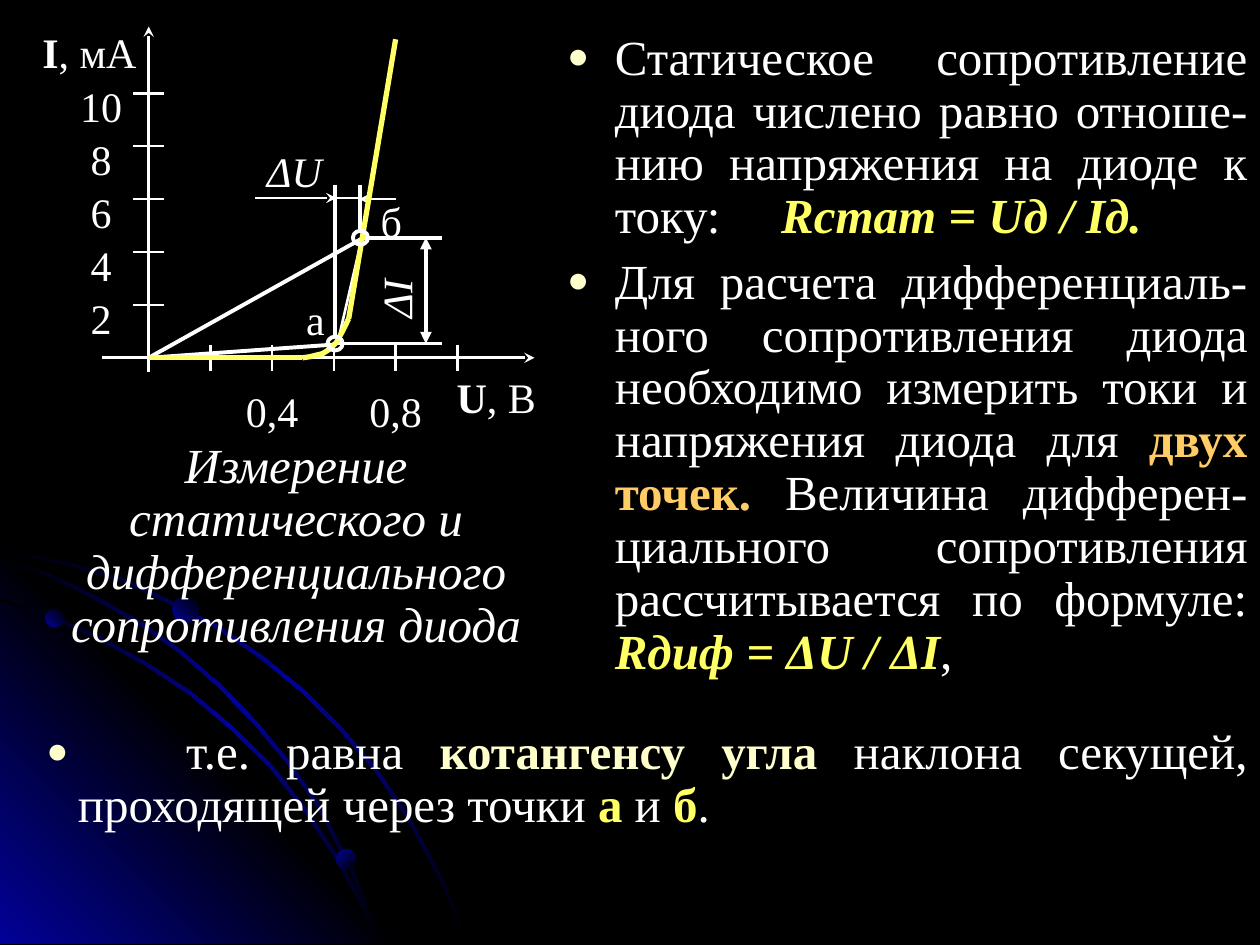
import pptx
import pptx.util
import pptx.dml.color
import pptx.enum.shapes
import pptx.enum.text
import pptx.oxml
import pptx.oxml.ns
from lxml import etree

C = {"bg": "000000", "text": "FFFFFF", "curve": "FFFF66", "cream": "FFFFCC",
     "accent": "FFCC66", "blue": "010199"}
FONT = "Times New Roman"
NS = pptx.oxml.ns.nsdecls("a")
RGB = pptx.dml.color.RGBColor.from_string
Inches, Pt = pptx.util.Inches, pptx.util.Pt
SHAPE = pptx.enum.shapes.MSO_SHAPE
ALIGN = pptx.enum.text.PP_ALIGN

prs = pptx.Presentation()
prs.slide_width, prs.slide_height = Inches(10), Inches(7.5)
W, H = prs.slide_width, prs.slide_height
s = prs.slides.add_slide(prs.slide_layouts[1])
s.background.fill.solid()
s.background.fill.fore_color.rgb = RGB(C["bg"])
title = s.shapes.title
title._element.getparent().remove(title._element)

# Plot grid: a column is 0.2 V, a row is 2 mA
X0, Y0 = Inches(1.18), Inches(2.84)
COL, ROW = Inches(0.49), Inches(0.42)


def line(c1, r1, c2, r2, width=1.5, color="text", head=None, tail=None):
    """Straight line between two points of the plot grid."""
    sp = s.shapes.add_connector(
        pptx.enum.shapes.MSO_CONNECTOR.STRAIGHT, int(X0 + c1 * COL), int(Y0 - r1 * ROW),
        int(X0 + c2 * COL), int(Y0 - r2 * ROW))
    sp.line.width = Pt(width)
    sp.line.color.rgb = RGB(C[color])
    for tag, kind in (("headEnd", head), ("tailEnd", tail)):
        if kind:
            sp.line._get_or_add_ln().append(
                pptx.oxml.parse_xml(f'<a:{tag} {NS} type="{kind}"/>'))
    etree.SubElement(sp._element.spPr, pptx.oxml.ns.qn("a:effectLst"))


def write(p, runs, size, align, spacing=None, hang=None, before=0, tab=None):
    """Fill a paragraph with (text, colour, style) runs; hang makes it a bullet."""
    p.alignment = align
    if spacing:
        p.line_spacing = spacing
    p.space_before = Pt(before)
    if hang:
        pPr = p._p.get_or_add_pPr()
        pPr.set("marL", str(Inches(hang)))
        pPr.set("indent", str(-Inches(hang)))
        bullet = [f'<a:buClr {NS}><a:srgbClr val="{C["cream"]}"/></a:buClr>',
                  f'<a:buSzPct {NS} val="75000"/>', f'<a:buFont {NS} typeface="Arial"/>',
                  f'<a:buChar {NS} char="●"/>']
        if tab:
            bullet.append(f'<a:tabLst {NS}><a:tab pos="{Inches(tab)}" algn="l"/></a:tabLst>')
        for xml in bullet:
            pPr.append(pptx.oxml.parse_xml(xml))
    for text, color, style in runs:
        r = p.add_run()
        r.text = text
        r.font.name, r.font.size = FONT, Pt(size)
        r.font.color.rgb = RGB(C[color])
        r.font.bold, r.font.italic = "b" in style, "i" in style


# Backdrop: blue corner, thin arcs and beads
bands = [
    [(0, 4.35), (0.57, 4.47), (0.98, 4.59), (1.36, 4.77), (1.74, 4.97), (2.09, 5.21),
     (2.42, 5.48), (2.72, 5.78), (3, 6.11), (3.25, 6.48), (3.52, 6.98), (3.72, 7.49)],
    [(0, 4.75), (0.41, 4.88), (0.79, 5.05), (1.17, 5.26), (1.52, 5.49), (1.84, 5.76),
     (2.15, 6.06), (2.42, 6.4), (2.66, 6.76), (2.86, 7.12), (3.03, 7.49)],
    [(0, 4.42), (0.39, 4.55), (0.76, 4.73), (1.11, 4.93), (1.44, 5.16), (1.75, 5.43),
     (2.04, 5.73), (2.29, 6.03), (2.54, 6.39), (2.82, 6.93), (3.03, 7.49)]]
glow = ["bg", "blue", "bg"]
outlines = [(band + [(max(x - 0.02, 0), min(y + 0.02, 7.49)) for x, y in reversed(band)],
             glow, 225) for band in bands]
outlines.insert(1, ([(0, 4.27), (3.22, 7.49), (0, 7.49)], ["blue", "bg", "blue"], 135))
backdrop = []
for points, stops, angle in outlines:
    emu = [(Inches(x), Inches(y)) for x, y in points]
    fb = s.shapes.build_freeform(*emu[0])
    fb.add_line_segments(emu[1:], close=True)
    backdrop.append((fb.convert_to_shape(), stops, angle))
for x, y, d, angle in ((0.36, 4.83, 0.15, 135), (2.67, 6.74, 0.16, 225), (1.37, 4.73, 0.21, 135)):
    sp = s.shapes.add_shape(SHAPE.OVAL, Inches(x), Inches(y), Inches(d), Inches(d))
    backdrop.append((sp, ["bg", "blue"], angle))
for sp, stops, angle in backdrop:
    sp.shadow.inherit = False
    sp.line.fill.background()
    gs = "".join(f'<a:gs pos="{i * 100000 // (len(stops) - 1)}"><a:srgbClr val="{C[k]}"/></a:gs>'
                 for i, k in enumerate(stops))
    sp._element.spPr.find(pptx.oxml.ns.qn("a:ln")).addprevious(pptx.oxml.parse_xml(
        f'<a:gradFill {NS} rotWithShape="1"><a:gsLst>{gs}</a:gsLst>'
        f'<a:lin ang="{angle * 60000}" scaled="1"/></a:gradFill>'))

# Axes and ticks
line(0, -0.26, 0, 6.26, tail="stealth")
line(-0.75, 0, 6.25, 0, tail="stealth")
for i in range(1, 6):
    line(-0.25, i, 0.25, i)
    line(i, 0.25, i, -0.25)

# Secants and increments between points a and b
a, b = (3.02, 0.27), (3.43, 2.27)
line(0, 0, 3, 0.25, 2.25)
line(0, 0, 3.48, 2.27, 2.25)
line(3.43, 2.14, 3.08, 0.38)
line(1.73, 3.02, 3.04, 3.02, tail="stealth")
line(4, 3, 3.41, 3, tail="stealth")
line(3.02, 3.02, 3.43, 3.02)
line(3.04, a[1], 4.75, a[1], 2.25)
line(3.47, b[1], 4.75, b[1], 2.25)
line(4.49, b[1], 4.49, a[1], 2.25, head="triangle", tail="triangle")
line(a[0], 0.4, a[0], 3.26, 2.25)
line(b[0], 2.4, b[0], 3.26, 2.25)

# Diode characteristic
line(0, 0, 2.49, 0, 3, "curve")
line(3.24, 0.74, 4, 6.02, 3, "curve")
bend = [(int(X0 + c * COL), int(Y0 - r * ROW)) for c, r in
        ((2.49, 0), (2.61, 0.02), (2.82, 0.08), (2.94, 0.17), (3.04, 0.29), (3.14, 0.5), (3.24, 0.74))]
fb = s.shapes.build_freeform(*bend[0])
fb.add_line_segments(bend[1:], close=False)
sp = fb.convert_to_shape()
sp.shadow.inherit = False
sp.fill.background()
sp.line.width, sp.line.color.rgb = Pt(3), RGB(C["curve"])
for c, r in (a, b):
    w, h = Inches(0.12), Inches(0.11)
    sp = s.shapes.add_shape(SHAPE.OVAL, int(X0 + c * COL - w / 2), int(Y0 - r * ROW - h / 2), w, h)
    sp.shadow.inherit = False
    sp.fill.background()
    sp.line.width, sp.line.color.rgb = Pt(2.25), RGB(C["text"])

# Plot labels: centre column and row, width and height in grid units, runs, turn
labels = [(-0.77, i - 0.14, 1, 0.76, [(str(2 * i), "text", "")], 0) for i in range(1, 6)]
labels += [(i, -0.9, 1, 0.76, [(f"0,{2 * i}", "text", "")], 0) for i in (2, 4)]
labels += [
    (-0.96, 5.76, 1.6, 1, [("I", "text", "b"), (", мА", "text", "")], 0),
    (5.63, -0.64, 1.76, 0.76, [("U", "text", "b"), (", В", "text", "")], 0),
    (2.7, 0.76, 0.76, 0.9, [("а", "text", "")], 0),
    (3.93, 2.64, 0.76, 0.86, [("б", "text", "")], 0),
    (2.36, 3.51, 1.24, 1.02, [("ΔU", "text", "i")], 0),
    (4.13, 1.11, 1.2, 1.26, [("ΔI", "text", "i")], -90)]
for c, r, w, h, runs, turn in labels:
    sp = s.shapes.add_textbox(int(X0 + (c - w / 2) * COL), int(Y0 - (r + h / 2) * ROW),
                              int(w * COL), int(h * ROW))
    sp.rotation = turn
    tf = sp.text_frame
    tf.margin_left = tf.margin_right = tf.margin_top = tf.margin_bottom = 0
    write(tf.paragraphs[0], runs, 24, ALIGN.CENTER)

# Caption under the plot
tf = s.shapes.add_textbox(int(W * 0.02), int(H * 0.46), int(W * 0.43), int(H * 0.23)).text_frame
tf.word_wrap = True
write(tf.paragraphs[0], [("Измерение статического и дифференциального сопротивления диода",
                          "text", "i")], 28, ALIGN.CENTER, 0.9)

# Definitions in the body placeholder
body = s.placeholders[1]
body.left, body.top, body.width, body.height = (
    int(W * 0.44), int(H * 0.028), int(W * 0.56), int(H * 0.735))
tf = body.text_frame
tf.auto_size = pptx.enum.text.MSO_AUTO_SIZE.NONE
write(tf.paragraphs[0], [
    ("Статическое сопротивление диода числено равно отноше-нию напряжения на диоде к току:\t",
     "text", ""),
    ("Rстат = Uд / Iд.", "curve", "bi")], 28, ALIGN.JUSTIFY, 0.9, 0.38, tab=1.7)
write(tf.add_paragraph(), [
    ("Для расчета дифференциаль-ного сопротивления диода необходимо измерить токи и "
     "напряжения диода для ", "text", ""),
    ("двух точек.", "accent", "b"),
    (" Величина дифферен-циального сопротивления рассчитывается по формуле: ", "text", ""),
    ("Rдиф = ΔU / ΔI", "curve", "bi"), (",", "text", "")],
    28, ALIGN.JUSTIFY, 0.9, 0.38, before=7)

# Conclusion across the slide
tf = s.shapes.add_textbox(int(W * 0.027), int(H * 0.763), int(W * 0.973), int(H * 0.187)).text_frame
tf.word_wrap = True
write(tf.paragraphs[0], [
    ("\tт.е. равна ", "text", ""), ("котангенсу угла", "cream", "b"),
    (" наклона секущей, проходящей через точки ", "text", ""), ("а", "curve", "b"),
    (" и ", "text", ""), ("б", "curve", "b"), (".", "text", "")],
    28, ALIGN.JUSTIFY, 0.9, 0.25, tab=1.11)

prs.save("out.pptx")
